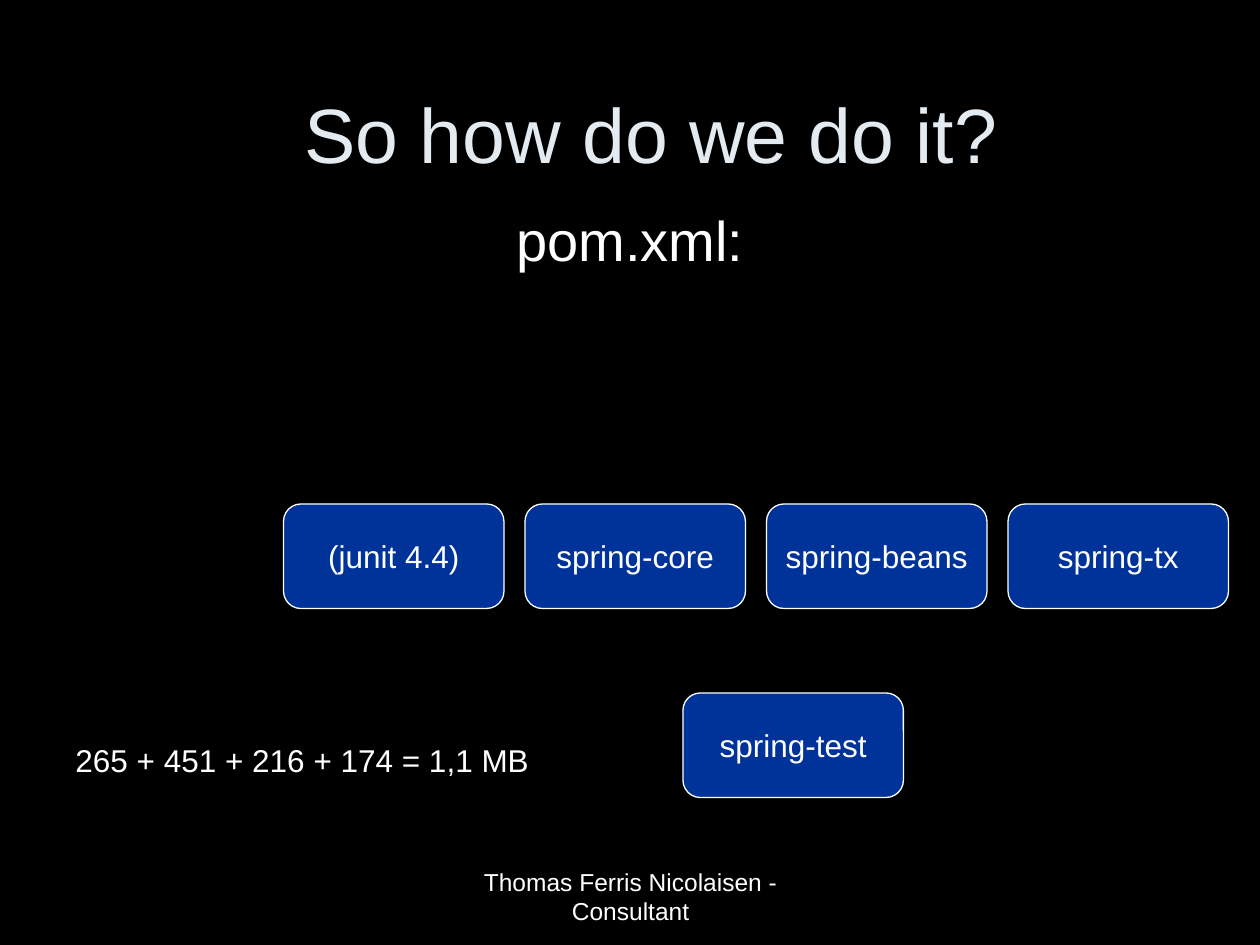
from pptx import Presentation
from pptx.dml.color import RGBColor
from pptx.enum.shapes import MSO_SHAPE as Shape
from pptx.enum.text import MSO_ANCHOR as Anchor, PP_ALIGN as Align
from pptx.util import Inches, Pt


def color(hex_code):
    return RGBColor.from_string(hex_code)


def write(shape, text, size, hex_code="FFFFFF", align=Align.CENTER,
          anchor=Anchor.TOP, wrap=True):
    frame = shape.text_frame
    frame.word_wrap = wrap
    frame.vertical_anchor = anchor
    paragraph = frame.paragraphs[0]
    paragraph.alignment = align
    run = paragraph.add_run()
    run.text = text
    run.font.name = "Arial"
    run.font.size = Pt(size)
    run.font.color.rgb = color(hex_code)


presentation = Presentation()
presentation.slide_width = Inches(10)
presentation.slide_height = Inches(7.5)
slide = presentation.slides.add_slide(presentation.slide_layouts[6])
slide.background.fill.solid()
slide.background.fill.fore_color.rgb = color("000000")

# Title and subtitle
title = slide.shapes.add_textbox(Inches(0.92), Inches(0.25), Inches(8.5), Inches(1.61))
write(title, "So how do we do it?", 44, "E3EBF1", anchor=Anchor.MIDDLE)
subtitle = slide.shapes.add_textbox(Inches(1.5), Inches(1.58), Inches(7), Inches(0.92))
write(subtitle, "pom.xml:", 32)

# Dependencies in an even row, with the test module below
row = ["(junit 4.4)", "spring-core", "spring-beans", "spring-tx"]
step = (8 - 2.25) / (len(row) - 1)
modules = [(name, 2.25 + index * step, 4) for index, name in enumerate(row)]
modules.append(("spring-test", 5.42, 5.5))
for name, left, top in modules:
    module = slide.shapes.add_shape(
        Shape.ROUNDED_RECTANGLE, Inches(left), Inches(top), Inches(1.75), Inches(0.83))
    module.shadow.inherit = False
    module.fill.solid()
    module.fill.fore_color.rgb = color("003399")
    module.line.color.rgb = color("FFFFFF")
    module.line.width = Pt(0.75)
    write(module, name, 18, anchor=Anchor.MIDDLE, wrap=False)

# Total size
total = slide.shapes.add_textbox(Inches(0.5), Inches(5.83), Inches(4.42), Inches(0.4))
write(total, "265 + 451 + 216 + 174 = 1,1 MB", 18, align=Align.LEFT)

# Footer
footer = slide.shapes.add_textbox(Inches(3.42), Inches(6.83), Inches(3.17), Inches(0.52))
write(footer, "Thomas Ferris Nicolaisen - Consultant", 14)

presentation.save("out.pptx")
